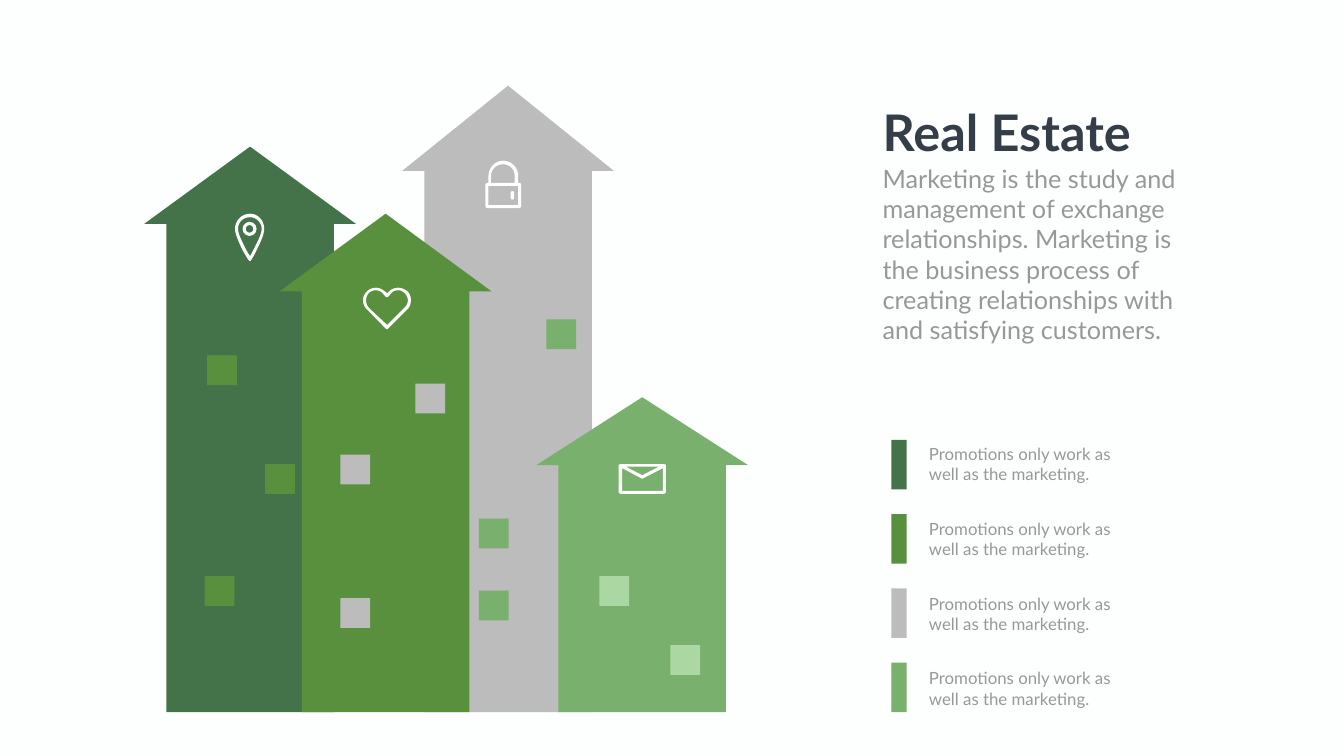
from pptx import Presentation
from pptx.dml.color import RGBColor
from pptx.enum import shapes, text
from pptx.util import Cm, Pt

COLORS = {
    "paper": "FDFFFE", "white": "FFFFFF", "ink": "343E49", "muted": "98989A",
    "forest": "44734A", "leaf": "59903D", "silver": "BBBCBB",
    "sage": "79B06D", "mint": "AAD7A2",
}
FONT = "Lato"
TITLE = "Real Estate"
BODY = ("Marketing is the study and management of exchange relationships. "
        "Marketing is the business process of creating relationships with "
        "and satisfying customers.")
LEGEND = [(color, "Promotions only work as well as the marketing.")
          for color in ("forest", "leaf", "silver", "sage")]

GROUND, ROOF_HALF, WALL_HALF, WINDOW = 35.89, 5.33, 4.22, 1.5
HOUSES = [  # color, centre, apex, eaves
    ("silver", 25.6, 4.32, 8.61),
    ("forest", 12.6, 7.39, 11.28),
    ("sage", 32.36, 20.02, 23.44),
    ("leaf", 19.43, 10.77, 14.68),
]
WINDOWS = {
    "leaf": [(10.44, 17.91), (13.36, 23.39), (10.31, 29.03)],
    "silver": [(20.93, 19.33), (17.15, 22.91), (17.15, 30.15)],
    "sage": [(27.53, 16.1), (24.13, 26.14), (24.13, 29.77)],
    "mint": [(30.2, 29.03), (33.78, 32.51)],
}

ICON_UNIT = 0.0254
HEART = [
    [(48, 82), (47, 82, 46, 82, 45, 81), (8, 43), (3, 38, 0, 32, 0, 25),
     (0, 18, 3, 12, 8, 7), (12, 3, 19, 0, 26, 0), (32, 0, 38, 3, 43, 7),
     (48, 11), (52, 7), (56, 3, 63, 0, 70, 0), (76, 0, 83, 3, 88, 7),
     (93, 12, 95, 18, 95, 25), (95, 32, 93, 38, 88, 43), (50, 81),
     (49, 82, 49, 82, 48, 82)],
    [(18, 46), (48, 74), (76, 46), (83, 39), (87, 35, 89, 30, 89, 25),
     (89, 20, 87, 15, 83, 11), (79, 7, 75, 5, 70, 5), (64, 5, 59, 7, 56, 11),
     (50, 18), (49, 19, 46, 19, 45, 18), (39, 11), (35, 7, 30, 5, 26, 5),
     (20, 5, 15, 7, 11, 11), (8, 15, 6, 20, 6, 25), (6, 30, 8, 35, 11, 39)],
]
ENVELOPE = [
    [(5, 0), (89, 0), (92, 0, 94, 1, 94, 3), (94, 54), (94, 57, 91, 59, 89, 59),
     (5, 59), (2, 59, 0, 57, 0, 54), (0, 3), (0, 1, 2, 0, 5, 0)],
    [(47, 22), (14, 5), (80, 5)],
    [(7, 53), (7, 8), (45, 28), (46, 29, 48, 29, 49, 28), (88, 8), (88, 53)],
]
PIN = [
    [(30, 94), (29, 94, 28, 93, 27, 92), (27, 92, 20, 82, 13, 68),
     (5, 51, 0, 38, 0, 30), (0, 14, 13, 0, 30, 0), (46, 0, 58, 14, 58, 30),
     (58, 38, 54, 50, 45, 68), (39, 82, 32, 92, 32, 92), (31, 93, 31, 94, 30, 94)],
    [(30, 7), (16, 7, 6, 17, 6, 30), (6, 35, 8, 44, 19, 65),
     (23, 73, 27, 81, 30, 84), (32, 81, 36, 73, 40, 65),
     (51, 44, 53, 35, 53, 30), (53, 17, 42, 7, 30, 7)],
]
LOCK = [
    [(67, 44), (65, 44), (65, 30), (65, 14, 52, 0, 35, 0), (19, 0, 6, 14, 6, 30),
     (6, 44), (4, 44), (2, 44, 0, 46, 0, 48), (0, 89), (0, 92, 2, 94, 4, 94),
     (67, 94), (69, 94, 71, 92, 71, 89), (71, 48), (71, 46, 69, 44, 67, 44)],
    [(11, 30), (11, 17, 22, 7, 35, 7), (48, 7, 58, 17, 58, 30), (58, 44), (11, 44)],
    [(65, 88), (6, 88), (6, 50), (65, 50)],
]
ICONS = [(HEART, 18.29, 14.5), (ENVELOPE, 31.17, 23.39),
         (PIN, 11.84, 10.77), (LOCK, 24.46, 8.1)]


def rgb(color):
    return RGBColor.from_string(COLORS[color])


def paint(sp, color):
    sp.shadow.inherit = False
    sp.fill.solid()
    sp.fill.fore_color.rgb = rgb(color)
    sp.line.fill.background()
    return sp


def add_block(s, kind, color, *box):
    return paint(s.shapes.add_shape(kind, *map(Cm, box)), color)


def add_outline(s, contours, color):
    contours = [[(Cm(x), Cm(y)) for x, y in contour] for contour in contours]
    builder = s.shapes.build_freeform(*contours[0][0], scale=1.0)
    for i, contour in enumerate(contours):
        if i:
            builder.move_to(*contour[0])
        builder.add_line_segments(contour[1:], close=True)
    return paint(builder.convert_to_shape(), color)


def flatten(contour, steps=8):
    points = [contour[0]]
    for segment in contour[1:]:
        if len(segment) == 2:
            points.append(segment)
            continue
        corners = [points[-1], segment[:2], segment[2:4], segment[4:]]
        for i in range(1, steps + 1):
            t = i / steps
            weights = ((1 - t) ** 3, 3 * t * (1 - t) ** 2, 3 * t * t * (1 - t), t ** 3)
            points.append(tuple(sum(w * c[axis] for w, c in zip(weights, corners))
                                for axis in (0, 1)))
    return points


def write(sp, words, size, color, box, bold=False):
    sp.left, sp.top, sp.width, sp.height = map(Cm, box)
    tf = sp.text_frame
    tf.word_wrap = True
    tf.auto_size = text.MSO_AUTO_SIZE.SHAPE_TO_FIT_TEXT
    tf.vertical_anchor = text.MSO_ANCHOR.TOP
    p = tf.paragraphs[0]
    p.alignment = text.PP_ALIGN.LEFT
    r = p.add_run()
    r.text = words
    r.font.name, r.font.size, r.font.bold = FONT, Pt(size), bold
    r.font.color.rgb = rgb(color)


def add_text(s, *args):
    write(s.shapes.add_textbox(0, 0, 0, 0), *args)


def main():
    """Build the real estate slide and save it."""
    prs = Presentation()
    prs.slide_width, prs.slide_height = Cm(67.72), Cm(38.1)
    s = prs.slides.add_slide(prs.slide_layouts[5])
    s.background.fill.solid()
    s.background.fill.fore_color.rgb = rgb("paper")
    kinds = shapes.MSO_SHAPE

    for color, centre, apex, eaves in HOUSES:
        right = [(ROOF_HALF, eaves), (WALL_HALF, eaves), (WALL_HALF, GROUND)]
        points = [(centre, apex)] + [(centre + dx, y) for dx, y in right]
        points += [(centre - dx, y) for dx, y in reversed(right)]
        add_outline(s, [points], color)
    for color, corners in WINDOWS.items():
        for x, y in corners:
            add_block(s, kinds.RECTANGLE, color, x, y, WINDOW, WINDOW)

    for contours, left, top in ICONS:
        add_outline(s, [[(left + x * ICON_UNIT, top + y * ICON_UNIT)
                         for x, y in flatten(contour)] for contour in contours], "white")
    ring = add_block(s, kinds.DONUT, "white", 12.22, 11.18, 0.71, 0.71)
    ring.adjustments[0] = 0.23
    keyhole = add_block(s, kinds.ROUNDED_RECTANGLE, "white", 25.73, 9.63, 0.17, 0.43)
    keyhole.adjustments[0] = 0.5

    for i, (color, words) in enumerate(LEGEND):
        add_block(s, kinds.RECTANGLE, color, 44.91, 22.17 + 3.74 * i, 0.78, 2.5)
        add_text(s, words, 24, "muted", (46.56, 22.24 + 3.77 * i, 10.21, 2.31))
    write(s.shapes.title, TITLE, 72, "ink", (44.22, 4.95, 13.36, 3.33), True)
    add_text(s, BODY, 36, "muted", (44.22, 8.1, 16.61, 9.5))
    prs.save("out.pptx")


if __name__ == "__main__":
    main()
